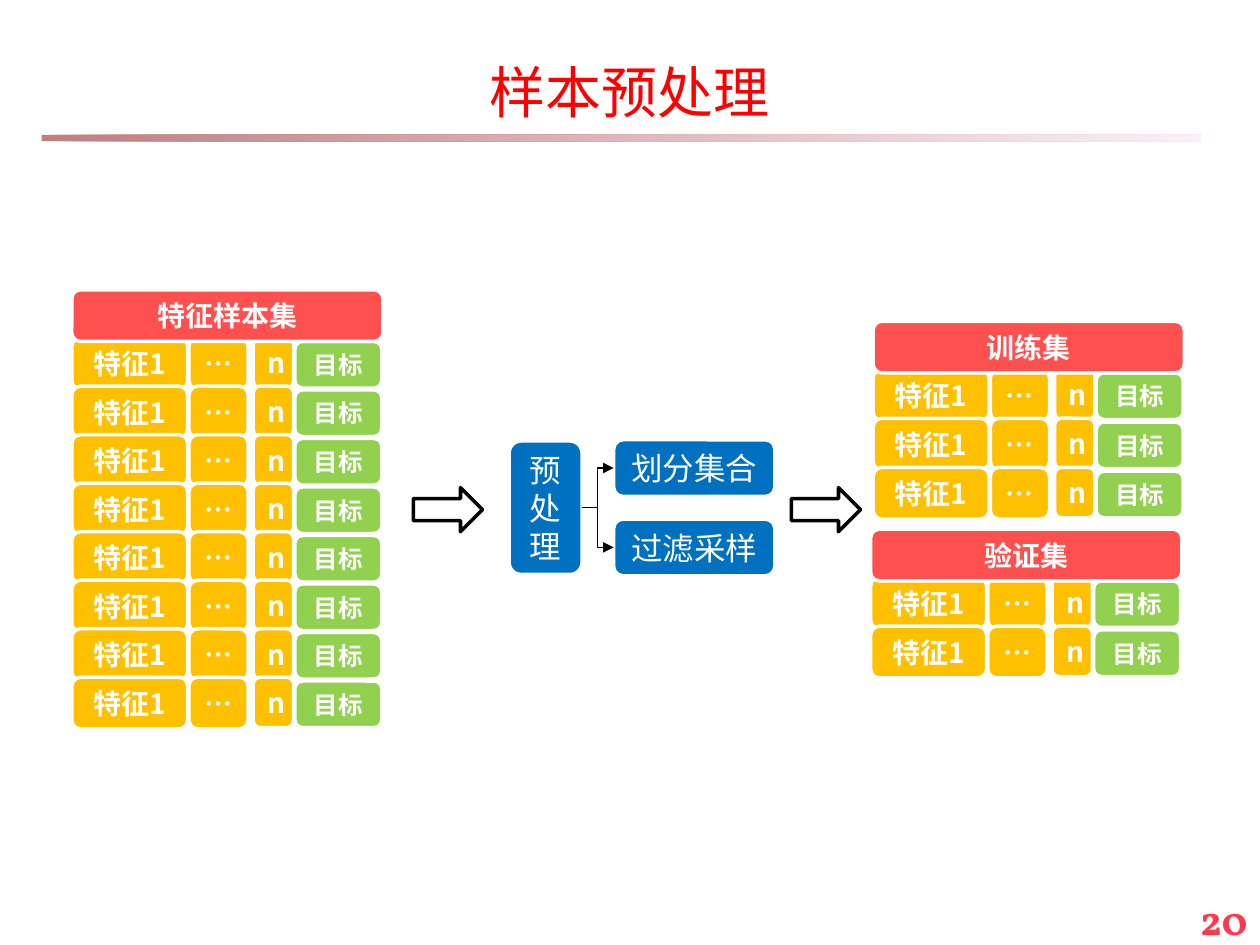
from pptx import Presentation
from pptx.dml.color import RGBColor
from pptx.enum.shapes import MSO_CONNECTOR, MSO_SHAPE
from pptx.enum.text import PP_ALIGN
from pptx.oxml.ns import qn
from pptx.util import Inches, Pt
from lxml.etree import SubElement

COLORS = {
    "title": "FF0000", "header": "FF5050", "feature": "FFC000",
    "target": "92D050", "process": "0070C0", "number": "FC3A4C",
    "rule_start": "800000", "rule_end": "FAE2F6",
    "white": "FFFFFF", "black": "000000",
}
FONT = "Noto Sans CJK SC"

# Cells of a sample row: text, left and top offset, width, height, size, colour
ROW_CELLS = [
    ("特征1", 0, 0, 0.92, 0.41, 16, "feature"),
    ("…", 0.93, 0, 0.47, 0.41, 16, "feature"),
    ("n", 1.44, 0, 0.32, 0.4, 16, "feature"),
    ("目标", 1.77, 0.03, 0.69, 0.37, 14, "target"),
]
HEADER_W, HEADER_H, FIRST_ROW = 2.47, 0.41, 0.38


def color(name):
    return RGBColor.from_string(COLORS[name])


def set_text(tf, text, size, fill, align=PP_ALIGN.CENTER, bold=False, name=FONT):
    p = tf.paragraphs[0]
    p.text = text
    p.alignment = align
    p.font.size = Pt(size)
    p.font.bold = bold
    p.font.color.rgb = color(fill)
    p.font.name = name
    SubElement(p._p.pPr.find(qn("a:defRPr")), qn("a:ea"), typeface=name)
    return p


def add_block(slide, kind, x, y, w, h, fill, line="white"):
    sp = slide.shapes.add_shape(kind, Inches(x), Inches(y), Inches(w), Inches(h))
    sp.shadow.inherit = False
    sp.fill.solid()
    sp.fill.fore_color.rgb = color(fill)
    sp.line.color.rgb = color(line)
    sp.line.width = Pt(2)
    return sp


def add_label(slide, text, x, y, w, h, size, fill, bold=True):
    sp = add_block(slide, MSO_SHAPE.ROUNDED_RECTANGLE, x, y, w, h, fill)
    sp.text_frame.word_wrap = True
    set_text(sp.text_frame, text, size, "white", bold=bold)
    return sp


def add_frame(slide):
    # Title
    title = slide.shapes.title
    title.left, title.top = Inches(0), Inches(0.08)
    title.width, title.height = Inches(10), Inches(1.02)
    set_text(title.text_frame, "样本预处理", 32, "title").line_spacing = 1.5

    # Fading rule under the title
    rule = slide.shapes.add_shape(MSO_SHAPE.RECTANGLE, Inches(0.33), Inches(1.07),
                                  Inches(9.2), Inches(0.05))
    rule.shadow.inherit = False
    rule.line.fill.background()
    rule.fill.gradient()
    rule.fill.gradient_angle = 0
    for stop, position, name in zip(rule.fill.gradient_stops, (0, 1),
                                    ("rule_start", "rule_end")):
        stop.position = position
        stop.color.rgb = color(name)
    for clr in rule._element.spPr.iter(qn("a:srgbClr")):
        SubElement(clr, qn("a:alpha"), val="50000")

    # Page number
    box = slide.shapes.add_textbox(Inches(7.67), Inches(7.04), Inches(2.33), Inches(0.44))
    box.text_frame.word_wrap = True
    set_text(box.text_frame, "20", 24, "number", PP_ALIGN.RIGHT, True, "Vollkorn")


def add_sample_set(slide, name, x, y, rows, pitch):
    for row in range(rows):
        row_y = y + FIRST_ROW + row * pitch
        for text, dx, dy, w, h, size, fill in ROW_CELLS:
            add_label(slide, text, x + dx, row_y + dy, w, h, size, fill)
    add_label(slide, name, x, y, HEADER_W, HEADER_H, 16, "header")


def add_preprocessing(slide, x, y):
    source = add_label(slide, "预处理", x, y, 0.58, 1.06, 18, "process", False)
    for text, dy in (("过滤采样", 0.62), ("划分集合", -0.01)):
        step = add_label(slide, text, x + 0.83, y + dy, 1.28, 0.45, 18, "process", False)
        link = slide.shapes.add_connector(
            MSO_CONNECTOR.ELBOW, source.left + source.width, source.top + source.height // 2,
            step.left, step.top + step.height // 2)
        link.begin_connect(source, 3)
        link.end_connect(step, 1)
        link.line.color.rgb = color("black")
        link.line.width = Pt(0.75)
        SubElement(link.line._get_or_add_ln(), qn("a:tailEnd"), type="triangle")
        SubElement(link._element.spPr, qn("a:effectLst"))


def main():
    prs = Presentation()
    prs.slide_width, prs.slide_height = Inches(10), Inches(7.5)
    slide = prs.slides.add_slide(prs.slide_layouts[5])
    add_frame(slide)

    # Flow from the samples, through preprocessing, to the two sets
    add_sample_set(slide, "特征样本集", 0.57, 2.3, 8, 0.385)
    add_preprocessing(slide, 4.04, 3.5)
    add_sample_set(slide, "训练集", 6.93, 2.55, 3, 0.39)
    add_sample_set(slide, "验证集", 6.91, 4.2, 2, 0.39)
    for x in (3.28, 6.28):
        add_block(slide, MSO_SHAPE.RIGHT_ARROW, x, 3.87, 0.55, 0.35, "white", "black")

    prs.save("out.pptx")


if __name__ == "__main__":
    main()
